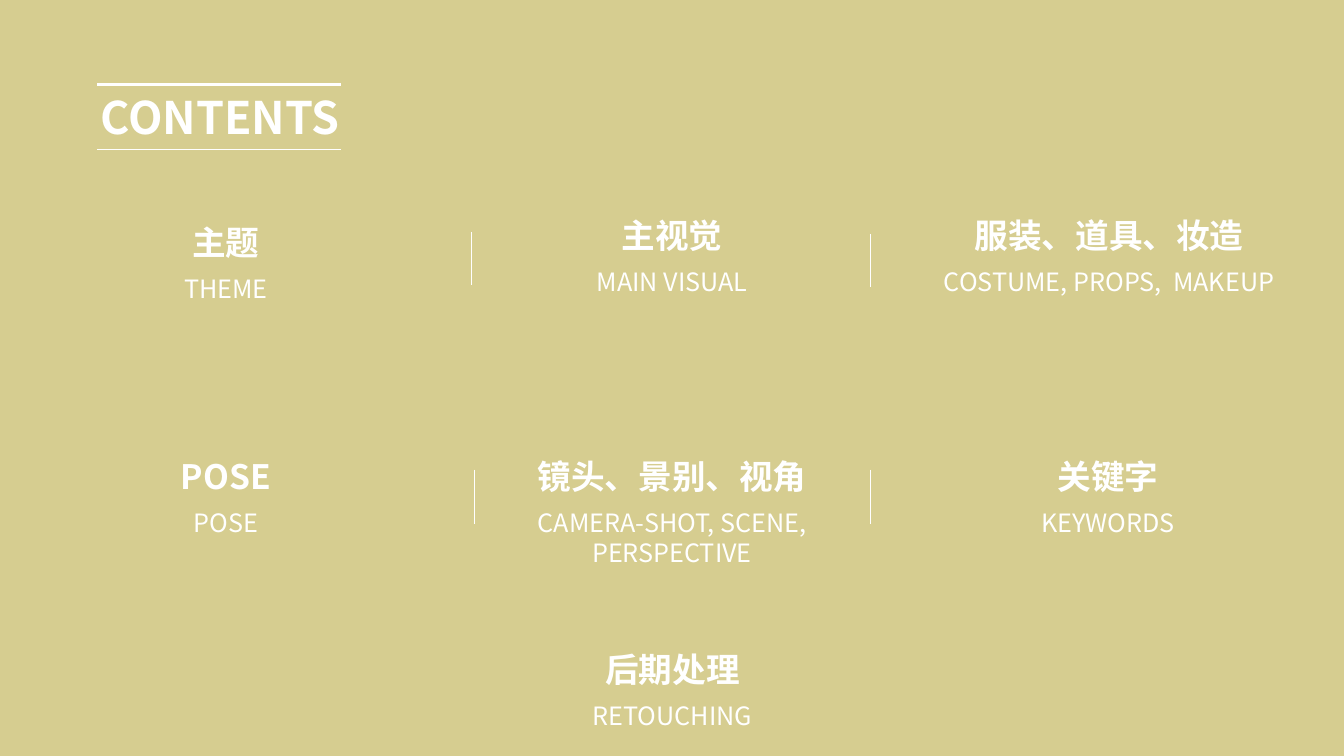
import dataclasses

import pptx
import pptx.dml.color
import pptx.enum.shapes
import pptx.enum.text
import pptx.oxml.ns
import pptx.slide
import pptx.text.text
import pptx.util

PX = 9144  # EMU per px, 100 px to the inch
FONT = "Noto Sans CJK SC"
SAND = pptx.dml.color.RGBColor(0xD6, 0xCD, 0x90)
WHITE = pptx.dml.color.RGBColor(0xFF, 0xFF, 0xFF)

HEADING_H, CAPTION_H, CAPTION_DY = 50, 40, 51
THIN, THICK = 0.5, 2.25


@dataclasses.dataclass
class Topic:
    heading: str
    caption: str
    x: int
    y: int
    w: int
    caption_lines: int = 1


@dataclasses.dataclass
class Rule:
    x1: int
    y1: int
    x2: int
    y2: int
    weight: float = THIN


TOPICS = [
    Topic("主题", "THEME", 120, 215, 208),
    Topic("主视觉", "MAIN VISUAL", 509, 208, 315),
    Topic("服装、道具、妆造", "COSTUME, PROPS,  MAKEUP", 903, 208, 394),
    Topic("POSE", "POSE", 120, 447, 208),
    Topic("镜头、景别、视角", "CAMERA-SHOT, SCENE, PERSPECTIVE", 509, 447, 315, 2),
    Topic("关键字", "KEYWORDS", 902, 447, 394),
    Topic("后期处理", "RETOUCHING", 470, 639, 394),
]

RULES = [
    Rule(96, 84, 338, 84, THICK),
    Rule(96, 148, 338, 148),
    Rule(468, 230, 468, 283),
    Rule(863, 232, 863, 285),
    Rule(470, 466, 470, 520),
    Rule(863, 466, 863, 520),
]


def px(n: int) -> pptx.util.Emu:
    return pptx.util.Emu(n * PX)


def write(tf: pptx.text.text.TextFrame, text: str, size: int, bold: bool) -> None:
    tf.text = text
    tf.vertical_anchor = pptx.enum.text.MSO_ANCHOR.TOP
    p = tf.paragraphs[0]
    p.alignment = pptx.enum.text.PP_ALIGN.CENTER
    for r in p.runs:
        r.font.name = FONT
        r.font.size = pptx.util.Pt(size)
        r.font.bold = bold
        r.font.color.rgb = WHITE
        # East Asian glyphs take their own typeface
        ea = pptx.oxml.parse_xml(
            f'<a:ea {pptx.oxml.ns.nsdecls("a")} typeface="{FONT}"/>')
        r.font._element.find(pptx.oxml.ns.qn("a:latin")).addnext(ea)


def add_title(s: pptx.slide.Slide, text: str) -> None:
    sp = s.shapes.title
    sp.left, sp.top, sp.width, sp.height = px(83), px(84), px(271), px(64)
    tf = sp.text_frame
    tf.word_wrap = False
    tf.auto_size = pptx.enum.text.MSO_AUTO_SIZE.SHAPE_TO_FIT_TEXT
    write(tf, text, 32, True)


def add_topic(s: pptx.slide.Slide, t: Topic) -> None:
    group = s.shapes.add_group_shape()
    caption_h = CAPTION_H + 31 * (t.caption_lines - 1)
    for text, y, h, size, bold in (
        (t.heading, t.y, HEADING_H, 24, True),
        (t.caption, t.y + CAPTION_DY, caption_h, 18, False),
    ):
        sp = group.shapes.add_textbox(px(t.x), px(y), px(t.w), px(h))
        tf = sp.text_frame
        tf.word_wrap = True
        tf.auto_size = pptx.enum.text.MSO_AUTO_SIZE.SHAPE_TO_FIT_TEXT
        write(tf, text, size, bold)


def add_rule(s: pptx.slide.Slide, rule: Rule) -> None:
    line = s.shapes.add_connector(
        pptx.enum.shapes.MSO_CONNECTOR.STRAIGHT,
        px(rule.x1), px(rule.y1), px(rule.x2), px(rule.y2))
    line.line.color.rgb = WHITE
    line.line.width = pptx.util.Pt(rule.weight)
    line._element.spPr.append(pptx.oxml.parse_xml(
        f'<a:effectLst {pptx.oxml.ns.nsdecls("a")}/>'))


def main() -> None:
    prs = pptx.Presentation()
    prs.slide_width, prs.slide_height = px(1333), px(750)
    s = prs.slides.add_slide(prs.slide_layouts.get_by_name("Title Only"))

    # Background
    s.background.fill.solid()
    s.background.fill.fore_color.rgb = SAND

    # Title, rules and topics
    add_title(s, "CONTENTS")
    for rule in RULES:
        add_rule(s, rule)
    for topic in TOPICS:
        add_topic(s, topic)

    prs.save("out.pptx")


if __name__ == "__main__":
    main()
